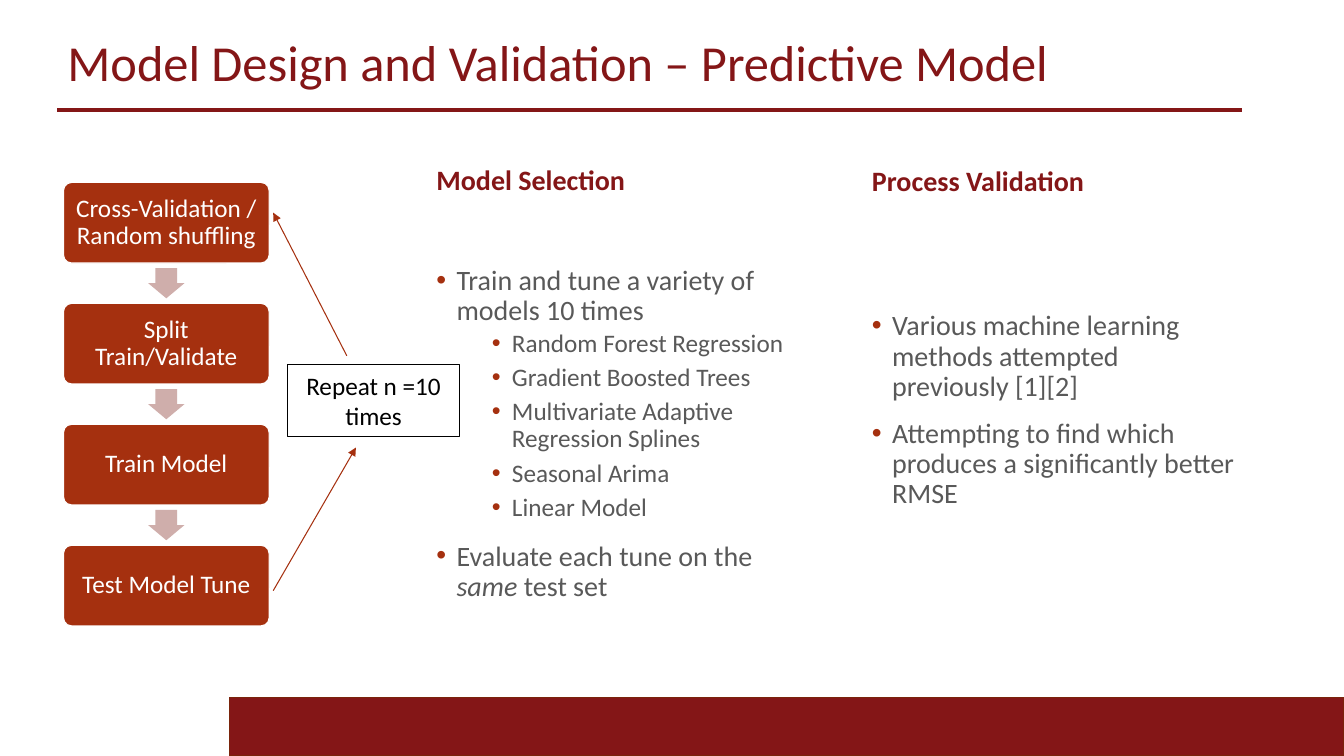
from lxml import etree
from pptx import Presentation
from pptx import util as u
from pptx.dml.color import RGBColor
from pptx.enum import shapes, text
from pptx.oxml import ns

CRIMSON = RGBColor(0x84, 0x16, 0x17)
CRIMSON_EDGE = RGBColor(0x7A, 0x24, 0x0B)
RUST = RGBColor(0xA5, 0x30, 0x0F)
PINK = RGBColor(0xCF, 0xAE, 0xAB)
GRAY = RGBColor(0x59, 0x59, 0x59)
WHITE = RGBColor(0xFF, 0xFF, 0xFF)
BLACK = RGBColor(0, 0, 0)

SHAPE = shapes.MSO_SHAPE
CENTER = text.PP_ALIGN.CENTER
MIDDLE = text.MSO_ANCHOR.MIDDLE
BOTTOM = text.MSO_ANCHOR.BOTTOM

TOPIC = dict(size=20, indent=0.2, before=12, after=0)
DETAIL = dict(size=18, indent=0.75, before=2.5, after=2.5)


def assign(target, values):
    for name, value in values.items():
        setattr(target, name, value)


class SlideBuilder:
    font_name = "Calibri"

    def __init__(self, slide):
        self.slide = slide

    def style_frame(self, frame, anchor, inset=None):
        assign(frame, dict(word_wrap=True, vertical_anchor=anchor))
        if inset is not None:
            sides = ("left", "right", "top", "bottom")
            assign(frame, {f"margin_{side}": u.Inches(inset) for side in sides})

    def add_words(self, paragraph, words, size, color, bold=False, italic=False):
        run = paragraph.add_run()
        run.text = words
        assign(run.font, dict(name=self.font_name, size=u.Pt(size), bold=bold, italic=italic))
        run.font.color.rgb = color

    def text_box(self, box, anchor):
        frame = self.slide.shapes.add_textbox(*map(u.Inches, box)).text_frame
        self.style_frame(frame, anchor)
        return frame

    def heading(self, box, words, size, anchor, bold=False):
        paragraph = self.text_box(box, anchor).paragraphs[0]
        paragraph.line_spacing = 0.9
        self.add_words(paragraph, words, size, CRIMSON, bold)

    def bullets(self, box, items):
        frame = self.text_box(box, MIDDLE)
        for index, (level, runs) in enumerate(items):
            paragraph = frame.add_paragraph() if index else frame.paragraphs[0]
            self.add_bullet(paragraph, level["indent"])
            assign(paragraph, dict(
                line_spacing=0.9,
                space_before=u.Pt(level["before"] if index else 0),
                space_after=u.Pt(level["after"]),
            ))
            for words, italic in runs:
                self.add_words(paragraph, words, level["size"], GRAY, italic=italic)

    def add_bullet(self, paragraph, indent):
        properties = paragraph._p.get_or_add_pPr()
        properties.set("marL", str(u.Inches(indent)))
        properties.set("indent", str(u.Inches(-0.2)))
        color = etree.SubElement(properties, ns.qn("a:buClr"))
        etree.SubElement(color, ns.qn("a:srgbClr"), val=str(RUST))
        etree.SubElement(properties, ns.qn("a:buFont"), typeface="Arial")
        etree.SubElement(properties, ns.qn("a:buChar"), char="•")

    def shape(self, kind, box, fill=None, line=None, width=0.75, adjustments=()):
        shape = self.slide.shapes.add_shape(kind, *map(u.Inches, box))
        shape.shadow.inherit = False
        if fill is None:
            shape.fill.background()
        else:
            shape.fill.solid()
            shape.fill.fore_color.rgb = fill
        if line is None:
            shape.line.fill.background()
        else:
            shape.line.color.rgb = line
            shape.line.width = u.Pt(width)
        for index, value in enumerate(adjustments):
            shape.adjustments[index] = value
        return shape

    def label(self, shape, words, color, spacing, inset=None):
        self.style_frame(shape.text_frame, MIDDLE, inset)
        paragraph = shape.text_frame.paragraphs[0]
        assign(paragraph, dict(alignment=CENTER, line_spacing=spacing))
        self.add_words(paragraph, words, 18, color)

    def line(self, start, end, color, width, arrow=False):
        connector = self.slide.shapes.add_connector(
            shapes.MSO_CONNECTOR.STRAIGHT, *map(u.Inches, start + end))
        connector.line.color.rgb = color
        connector.line.width = u.Pt(width)
        if arrow:
            etree.SubElement(connector.line._get_or_add_ln(), ns.qn("a:tailEnd"), type="triangle")
        etree.SubElement(connector._element.spPr, ns.qn("a:effectLst"))


def main():
    presentation = Presentation()
    assign(presentation, dict(slide_width=u.Inches(13.33), slide_height=u.Inches(7.5)))
    builder = SlideBuilder(presentation.slides.add_slide(presentation.slide_layouts[6]))

    builder.shape(SHAPE.RECTANGLE, (2.28, 6.92, 11.05, 0.58), CRIMSON, CRIMSON_EDGE, 0.85)
    builder.line((0.57, 1.09), (12.32, 1.09), CRIMSON, 2.5)
    builder.heading((0.57, 0.29, 11.71, 0.71),
                    "Model Design and Validation – Predictive Model", 36, MIDDLE)

    models = ("Random Forest Regression", "Gradient Boosted Trees",
              "Multivariate Adaptive Regression Splines", "Seasonal Arima", "Linear Model")
    selection = [
        (TOPIC, [("Train and tune a variety of models 10 times", False)]),
        *((DETAIL, [(model, False)]) for model in models),
        (TOPIC, [("Evaluate each tune on the ", False), ("same", True), (" test set", False)]),
    ]
    validation = [
        (TOPIC, [("Various machine learning methods attempted previously [1][2]", False)]),
        (TOPIC, [("Attempting to find which produces a significantly better RMSE", False)]),
    ]
    columns = (
        (4.23, "Model Selection", 0.88, selection, 4.4),
        (8.55, "Process Validation", 0.89, validation, 3.93),
    )
    for left, title, title_height, items, height in columns:
        builder.heading((left, 1.12, 3.8, title_height), title, 20, BOTTOM, bold=True)
        builder.bullets((left, 2.11, 3.8, height), items)

    steps = ("Cross-Validation / Random shuffling", "Split Train/Validate",
             "Train Model", "Test Model Tune")
    for index, step in enumerate(steps):
        top = 1.81 + 1.2 * index
        card = builder.shape(SHAPE.ROUNDED_RECTANGLE, (0.63, top, 2.04, 0.8),
                             RUST, WHITE, 0.85, (0.1,))
        builder.label(card, step, WHITE, 0.9, 0.07)
        if index < len(steps) - 1:
            builder.shape(SHAPE.DOWN_ARROW, (1.47, top + 0.85, 0.36, 0.3),
                          PINK, adjustments=(0.6, 0.5))

    builder.line((2.71, 5.86), (3.53, 4.44), RUST, 0.75, arrow=True)
    builder.line((3.44, 3.53), (2.71, 2.11), RUST, 0.75, arrow=True)
    repeat = builder.shape(SHAPE.RECTANGLE, (2.85, 3.62, 1.71, 0.71), line=BLACK)
    builder.label(repeat, "Repeat n =10 times", BLACK, 1.0)

    presentation.save("out.pptx")


if __name__ == "__main__":
    main()
